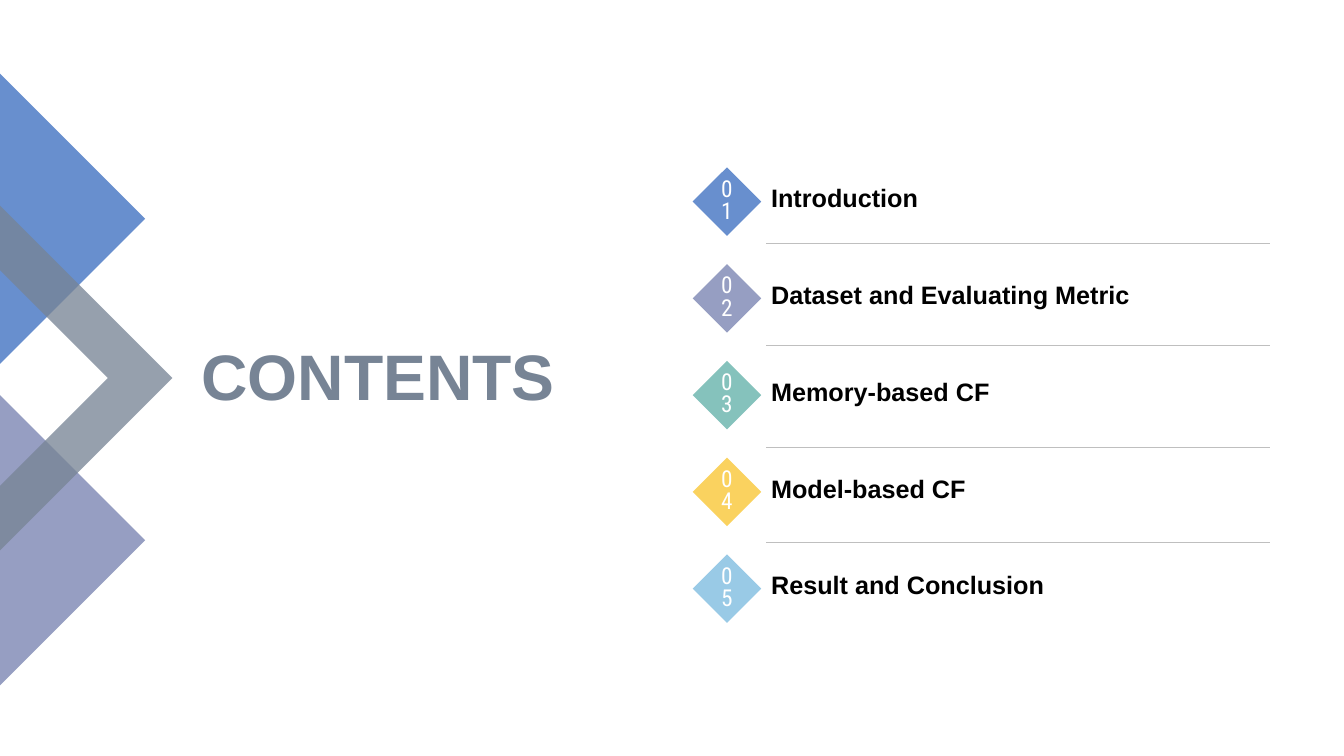
from pptx import Presentation
from pptx.dml.color import RGBColor
from pptx.enum.shapes import MSO_CONNECTOR, MSO_SHAPE
from pptx.enum.text import MSO_ANCHOR, PP_ALIGN
from pptx.oxml.ns import qn
from pptx.util import Inches, Pt
from lxml import etree

BLUE = RGBColor(0x68, 0x8F, 0xCE)
PURPLE = RGBColor(0x96, 0x9E, 0xC2)
TEAL = RGBColor(0x85, 0xC2, 0xBC)
YELLOW = RGBColor(0xFA, 0xD2, 0x5F)
SKY = RGBColor(0x99, 0xCA, 0xE6)
SLATE = RGBColor(0x77, 0x84, 0x95)
RULE_GRAY = RGBColor(0xBF, 0xBF, 0xBF)
BLACK = RGBColor(0, 0, 0)
WHITE = RGBColor(0xFF, 0xFF, 0xFF)


def fill_plain(sp, color):
    sp.shadow.inherit = False
    sp.fill.solid()
    sp.fill.fore_color.rgb = color
    sp.line.fill.background()


def write_text(sp, text, font, size, color, align, spacing, bold=False):
    tf = sp.text_frame
    tf.word_wrap = True
    tf.vertical_anchor = MSO_ANCHOR.MIDDLE
    tf.text = text
    p = tf.paragraphs[0]
    p.alignment = align
    p.line_spacing = spacing
    r = p.runs[0]
    r.font.name = font
    r.font.size = Pt(size)
    r.font.bold = bold
    r.font.color.rgb = color


prs = Presentation()
prs.slide_width = Inches(13.33)
prs.slide_height = Inches(7.5)
s = prs.slides.add_slide(prs.slide_layouts[5])

# Shapes along the left edge, the translucent chevron on top
edge_shapes = [
    (PURPLE, [(0, 3.92), (1.44, 5.36), (0, 6.8)]),
    (BLUE, [(0, 0.73), (1.44, 2.17), (0, 3.61)]),
    (SLATE, [(0, 2.04), (1.71, 3.75), (0, 5.46),
             (0, 4.82), (1.07, 3.75), (0, 2.68)]),
]
for color, points in edge_shapes:
    points = [(Inches(x), Inches(y)) for x, y in points]
    builder = s.shapes.build_freeform(*points[0])
    builder.add_line_segments(points[1:], close=True)
    sp = builder.convert_to_shape()
    fill_plain(sp, color)
chevron_color = sp.fill._xPr.find(qn("a:solidFill"))[0]
etree.SubElement(chevron_color, qn("a:alpha")).set("val", "77000")

title = s.shapes.title
title.left, title.top = Inches(1.69), Inches(3.26)
title.width, title.height = Inches(4.09), Inches(1.01)
write_text(title, "CONTENTS", "Arial", 45.9, SLATE, PP_ALIGN.RIGHT, 0.9, True)
title.text_frame.margin_right = Inches(0.28)

# Numbered agenda
agenda = [
    ("Introduction", BLUE),
    ("Dataset and Evaluating Metric", PURPLE),
    ("Memory-based CF", TEAL),
    ("Model-based CF", YELLOW),
    ("Result and Conclusion", SKY),
]
size = Inches(0.68)
for i, (topic, color) in enumerate(agenda):
    top = 1.66 + 0.96 * i
    diamond = s.shapes.add_shape(
        MSO_SHAPE.DIAMOND, Inches(6.87), Inches(top), size, size)
    fill_plain(diamond, color)
    write_text(diamond, f"{i + 1:02}", "Roboto Condensed", 16.6, WHITE,
               PP_ALIGN.CENTER, 0.8)
    label = s.shapes.add_textbox(
        Inches(7.55), Inches(top - 0.02), Inches(4.33), size)
    write_text(label, topic, "Arial", 18, BLACK, PP_ALIGN.LEFT, 0.9, True)

for y in (2.42, 3.43, 4.44, 5.38):
    rule = s.shapes.add_connector(
        MSO_CONNECTOR.STRAIGHT, Inches(7.6), Inches(y), Inches(12.6), Inches(y))
    rule.line.color.rgb = RULE_GRAY
    rule.line.width = Pt(0.75)
    etree.SubElement(rule._element.spPr, qn("a:effectLst"))

prs.save("out.pptx")
